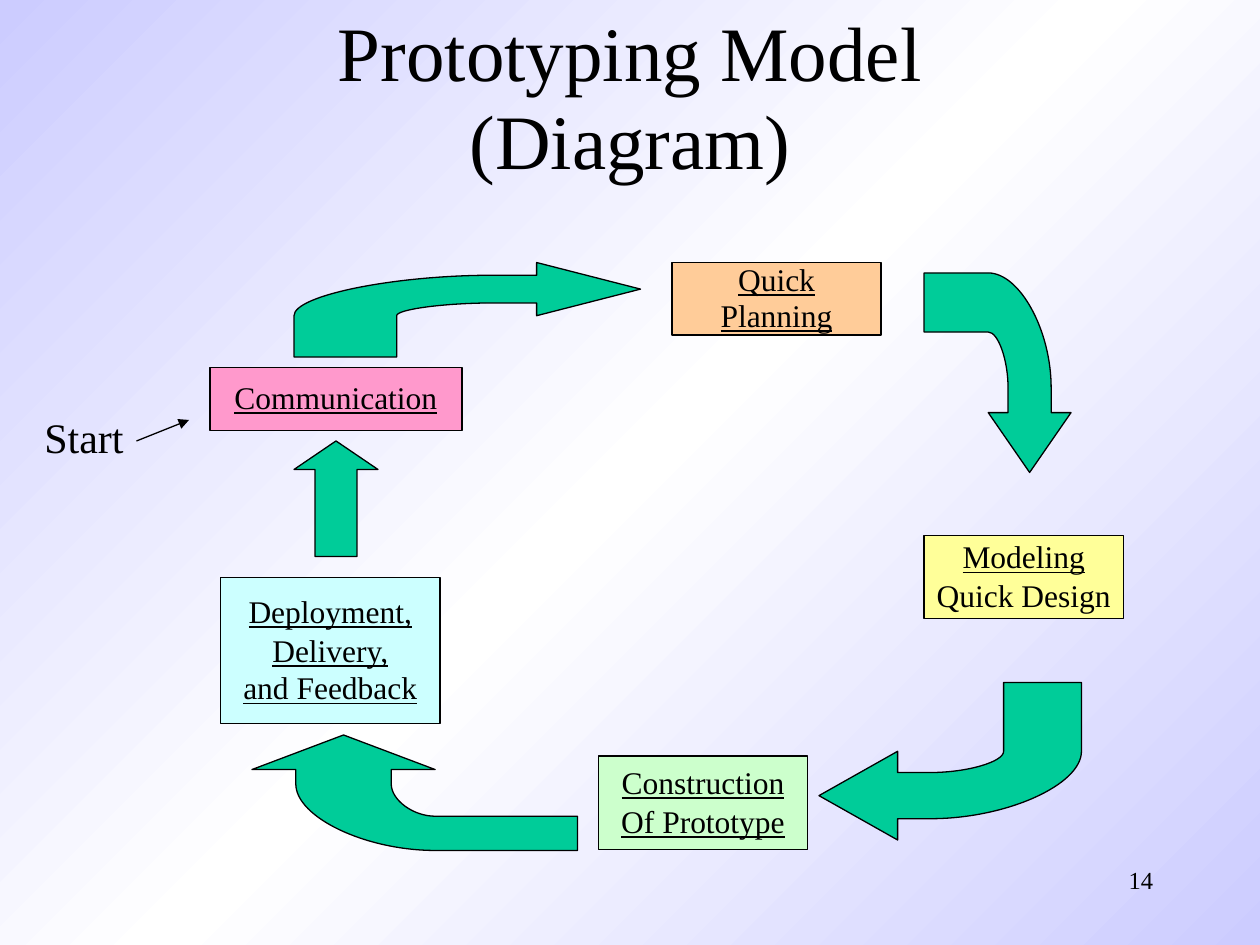
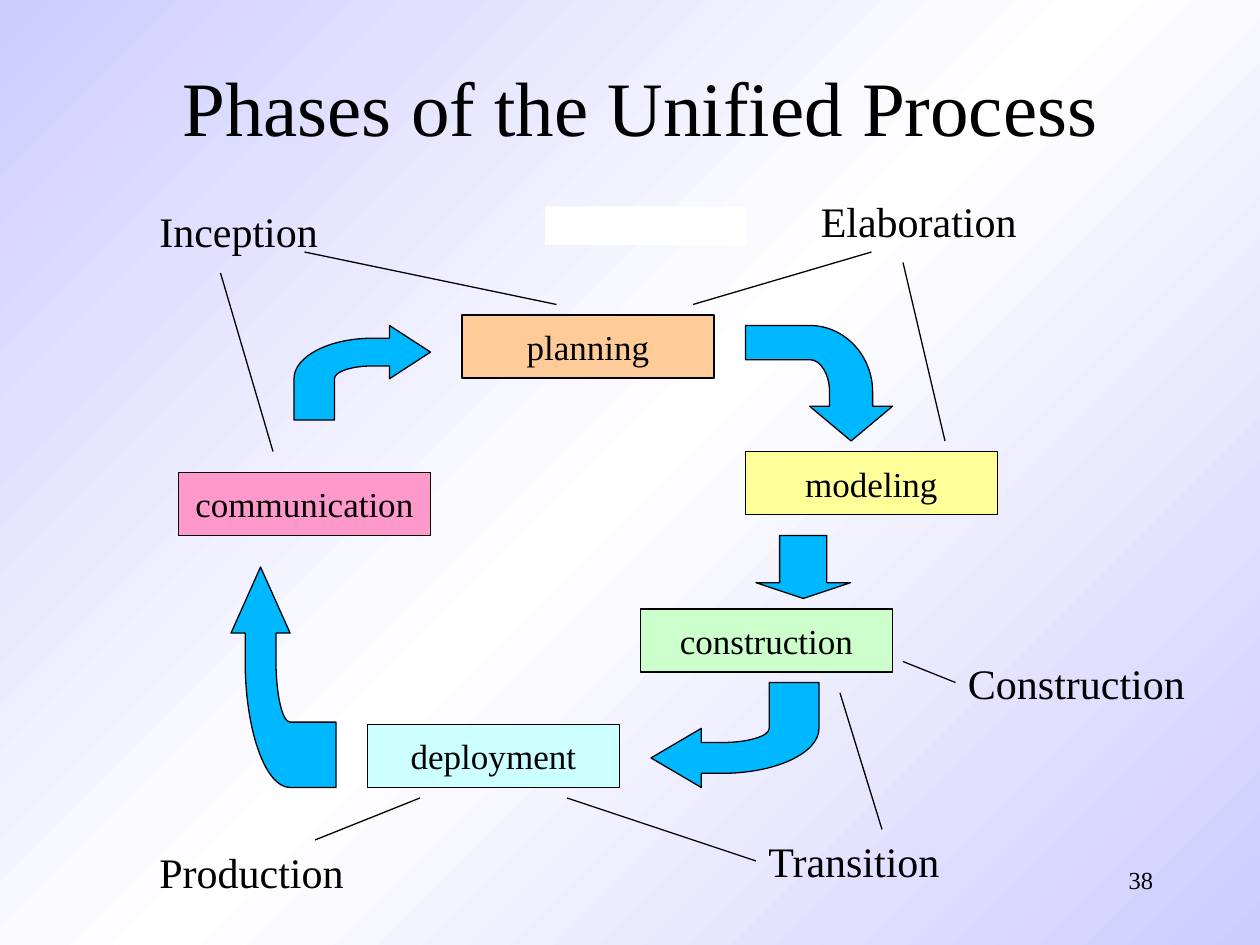
import copy

import pptx
import pptx.dml.color
import pptx.enum.shapes
import pptx.enum.text
import pptx.oxml.ns
import pptx.util

Pt = pptx.util.Pt
RGB = pptx.dml.color.RGBColor
KIND = pptx.enum.shapes.MSO_SHAPE
ALIGN = pptx.enum.text.PP_ALIGN
ANCHOR = pptx.enum.text.MSO_ANCHOR
qn = pptx.oxml.ns.qn

FONT = "Times New Roman"
TIGHT = 0.95
BLACK = RGB(0, 0, 0)
WHITE = RGB(255, 255, 255)
LILAC = RGB(0xCC, 0xCC, 0xFF)
PINK = RGB(0xFF, 0x99, 0xCC)
PEACH = RGB(0xFF, 0xCC, 0x99)
YELLOW = RGB(0xFF, 0xFF, 0x99)
MINT = RGB(0xCC, 0xFF, 0xCC)
AQUA = RGB(0xCC, 0xFF, 0xFF)
GREEN = RGB(0x00, 0xCC, 0x99)
BLUE = RGB(0x00, 0xB8, 0xFF)

# Boxes: (frame, fill, lines); a line is (text, underlined).
# Bends: (frame, quarter turns clockwise); at no turn the head points right.
# Lines: (start, end); a start may be (label name, side to join).
PROTO = {
    "title": ["Prototyping Model", "(Diagram)"],
    "place": (54, 3.4, 612, 107),
    "page": "14",
    "size": 18,
    "wrap": True,
    "boxes": [
        ((120, 210, 144, 36), PINK, [("Communication", True)]),
        ((384, 150, 119.5, 41.5), PEACH, [("Quick Planning", True)]),
        ((528, 306, 114, 47.5), YELLOW,
         [("Modeling", True), ("Quick Design", False)]),
        ((342, 432, 119.5, 53.5), MINT,
         [("Construction", True), ("Of Prototype", True)]),
        ((126, 330, 125.5, 83.5), AQUA,
         [("Deployment,", True), ("Delivery,", True), ("and Feedback", True)]),
    ],
    "tint": GREEN,
    "curve": 0.5,
    "bends": [((168, 150, 198, 54), 0), ((528, 156, 84, 114), 1),
              ((468, 390, 150, 90), 2), ((144, 420, 186, 66), 3)],
    "block": (KIND.UP_ARROW, (168, 252, 48, 66), 0.34),
    "start": (18, 234, 60, 36),
    "labels": {},
    "lines": [(("Start", 3), (108, 240))],
    "heads": True,
}

WIDE, TALL = 144, 36
STEPS = [("communication", 102, 270, PINK), ("planning", 264, 180, PEACH),
         ("modeling", 426, 258, YELLOW), ("construction", 366, 348, MINT),
         ("deployment", 210, 414, AQUA)]

PHASES = {
    "title": ["Phases of the Unified Process"],
    "place": (60, 18, 612, 90),
    "page": "38",
    "size": 20,
    "wrap": False,
    "patch": (311.5, 118, 115, 22),
    "boxes": [((x, y, WIDE, TALL), fill, [(name, False)])
              for name, x, y, fill in STEPS],
    "tint": BLUE,
    "curve": 0.55,
    "bends": [((168, 186, 78, 54), 0), ((426, 186, 84, 66), 1),
              ((372, 390, 96, 60), 2), ((132, 324, 60, 126), 3)],
    "block": (KIND.DOWN_ARROW, (432, 306, 54, 36), 0.25),
    "labels": {
        "Inception": (84, 114, 108, 36),
        "Elaboration": (462, 108, 130, 36),
        "Construction": (546, 372, 142, 36),
        "Transition": (432, 474, 116, 36),
        "Production": (84, 480, 122, 36),
    },
    "lines": [
        ((126, 156), (156, 258)), ((174, 144), (318, 174)),
        ((498, 144), (396, 174)), ((516, 150), (540, 252)),
        (("Construction", 1), (516, 378)), ((504, 474), (480, 396)),
        (("Transition", 1), (324, 456)), ((180, 480), (240, 456)),
    ],
    "heads": False,
}


def frame(place):
    return [Pt(n) for n in place]


def add_run(para, text, size, under=False):
    run = para.add_run()
    run.text = text
    font = run.font
    font.name, font.size = FONT, Pt(size)
    font.color.rgb = BLACK
    if under:
        font.underline = True


def paint(shape, fill, edge=True):
    shape.shadow.inherit = False
    shape.fill.solid()
    shape.fill.fore_color.rgb = fill
    if edge:
        shape.line.color.rgb = BLACK
        shape.line.width = Pt(0.75)
    else:
        shape.line.fill.background()


def add_text(slide, text, place, size, align, space=None):
    box = slide.shapes.add_textbox(*frame(place))
    box.text_frame.word_wrap = False
    para = box.text_frame.paragraphs[0]
    para.alignment = align
    para.line_spacing = space
    add_run(para, text, size)
    return box


def add_start(slide, place):
    box = slide.shapes.add_shape(KIND.RECTANGLE, *frame(place))
    box.shadow.inherit = False
    box.fill.background()
    box.line.fill.background()
    box.text_frame.word_wrap = False
    box.text_frame.vertical_anchor = ANCHOR.TOP
    para = box.text_frame.paragraphs[0]
    para.alignment = ALIGN.CENTER
    para.line_spacing = TIGHT
    add_run(para, "Start", 24)
    return box


def add_box(slide, place, fill, lines, size, wrap):
    box = slide.shapes.add_shape(KIND.RECTANGLE, *frame(place))
    paint(box, fill)
    body = box.text_frame
    body.word_wrap = wrap
    body.vertical_anchor = ANCHOR.MIDDLE
    for i, (text, under) in enumerate(lines):
        para = body.add_paragraph() if i else body.paragraphs[0]
        para.alignment = ALIGN.CENTER
        if wrap and i == 0:
            para.line_spacing = TIGHT
        add_run(para, text, size, under)


# Bent arrow on a square grid, tail at the bottom left, head to the right
FULL = 21600
BEND, NECK, TAIL = 12427, 15126, 6400
TOP, LOW, HEAD = 2912, 9246, 12158
CURVES = (1, 10)  # first of the three points of each curve, after the start


def quarter(x, y, wide, tall, curve):
    """Curve points from the left end of an arc about (x, y) to its top."""
    return [(x - wide, y), (x - wide, y - curve * tall),
            (x - curve * wide, y - tall), (x, y - tall)]


def outline(curve):
    outer = quarter(BEND, HEAD, BEND, HEAD - TOP, curve)
    inner = quarter(BEND, HEAD, BEND - TAIL, HEAD - LOW, curve)
    head = [(NECK, TOP), (NECK, 0), (FULL, HEAD / 2), (NECK, HEAD),
            (NECK, LOW)]
    return [(0, FULL)] + outer + head + inner[::-1] + [(TAIL, FULL)]


def add_bend(slide, place, turns, fill, curve):
    left, top, wide, tall = place
    points = outline(curve)
    for _ in range(turns):
        points = [(FULL - y, x) for x, y in points]
    points = [(Pt(left + x / FULL * wide), Pt(top + y / FULL * tall))
              for x, y in points]
    pen = slide.shapes.build_freeform(*points[0])
    pen.add_line_segments(points[1:], close=True)
    shape = pen.convert_to_shape()
    paint(shape, fill)
    # Turn the straight steps of each curve into one smooth step
    steps = list(shape._element.iter(qn("a:lnTo")))
    for first in CURVES:
        trio = steps[first:first + 3]
        bow = trio[0].makeelement(qn("a:cubicBezTo"), {})
        trio[0].addprevious(bow)
        for step in trio:
            bow.append(step[0])
            step.getparent().remove(step)


def add_line(slide, start, end, labels, head):
    name, side = start
    joined = name in labels
    first = end if joined else start
    line = slide.shapes.add_connector(
        pptx.enum.shapes.MSO_CONNECTOR.STRAIGHT, *frame(first + end))
    if joined:
        line.begin_connect(labels[name], side)
    line.line.color.rgb = BLACK
    line.line.width = Pt(0.75)
    if head:
        edge = line.line._get_or_add_ln()
        edge.append(edge.makeelement(qn("a:tailEnd"), {"type": "triangle"}))
    props = line._element.spPr
    props.append(props.makeelement(qn("a:effectLst"), {}))


def set_back(master):
    fill = master.background.fill
    fill.gradient()
    fill.gradient_angle = 135
    for stop, color in zip(fill.gradient_stops, (LILAC, WHITE)):
        stop.color.rgb = color
    stops = master.element.find(".//" + qn("a:gsLst"))
    stops.append(copy.deepcopy(stops[0]))
    for stop, spot in zip(stops, (0, 50000, 100000)):
        stop.set("pos", str(spot))


def add_title(slide, lines, place):
    title = slide.shapes.title
    title.left, title.top, title.width, title.height = frame(place)
    body = title.text_frame
    body.word_wrap = True
    body.auto_size = pptx.enum.text.MSO_AUTO_SIZE.NONE
    body.vertical_anchor = ANCHOR.MIDDLE
    para = body.paragraphs[0]
    para.alignment = ALIGN.CENTER
    para.line_spacing = TIGHT
    for i, text in enumerate(lines):
        if i:
            para.add_line_break()
        add_run(para, text, 44)


def build(deck, data):
    slide = deck.slides.add_slide(deck.slide_layouts[5])
    # Title and page number
    add_title(slide, data["title"], data["place"])
    page = add_text(slide, data["page"], (516, 492, 150, 23), 14,
                    ALIGN.RIGHT, TIGHT)
    page.text_frame.word_wrap = True
    # Blank patch
    if "patch" in data:
        patch = slide.shapes.add_shape(KIND.RECTANGLE, *frame(data["patch"]))
        paint(patch, WHITE, edge=False)
    # Cycle of boxes and arrows
    for place, fill, lines in data["boxes"]:
        add_box(slide, place, fill, lines, data["size"], data["wrap"])
    for place, turns in data["bends"]:
        add_bend(slide, place, turns, data["tint"], data["curve"])
    kind, place, depth = data["block"]
    block = slide.shapes.add_shape(kind, *frame(place))
    block.adjustments[1] = depth
    paint(block, data["tint"])
    # Labels and their lines
    labels = {text: add_text(slide, text, place, 24, ALIGN.LEFT)
              for text, place in data["labels"].items()}
    if "start" in data:
        labels["Start"] = add_start(slide, data["start"])
    for start, end in data["lines"]:
        add_line(slide, start, end, labels, data["heads"])


def main():
    deck = pptx.Presentation()
    deck.slide_width, deck.slide_height = Pt(720), Pt(540)
    set_back(deck.slide_master)
    for data in (PROTO, PHASES):
        build(deck, data)
    deck.save("out.pptx")


if __name__ == "__main__":
    main()
